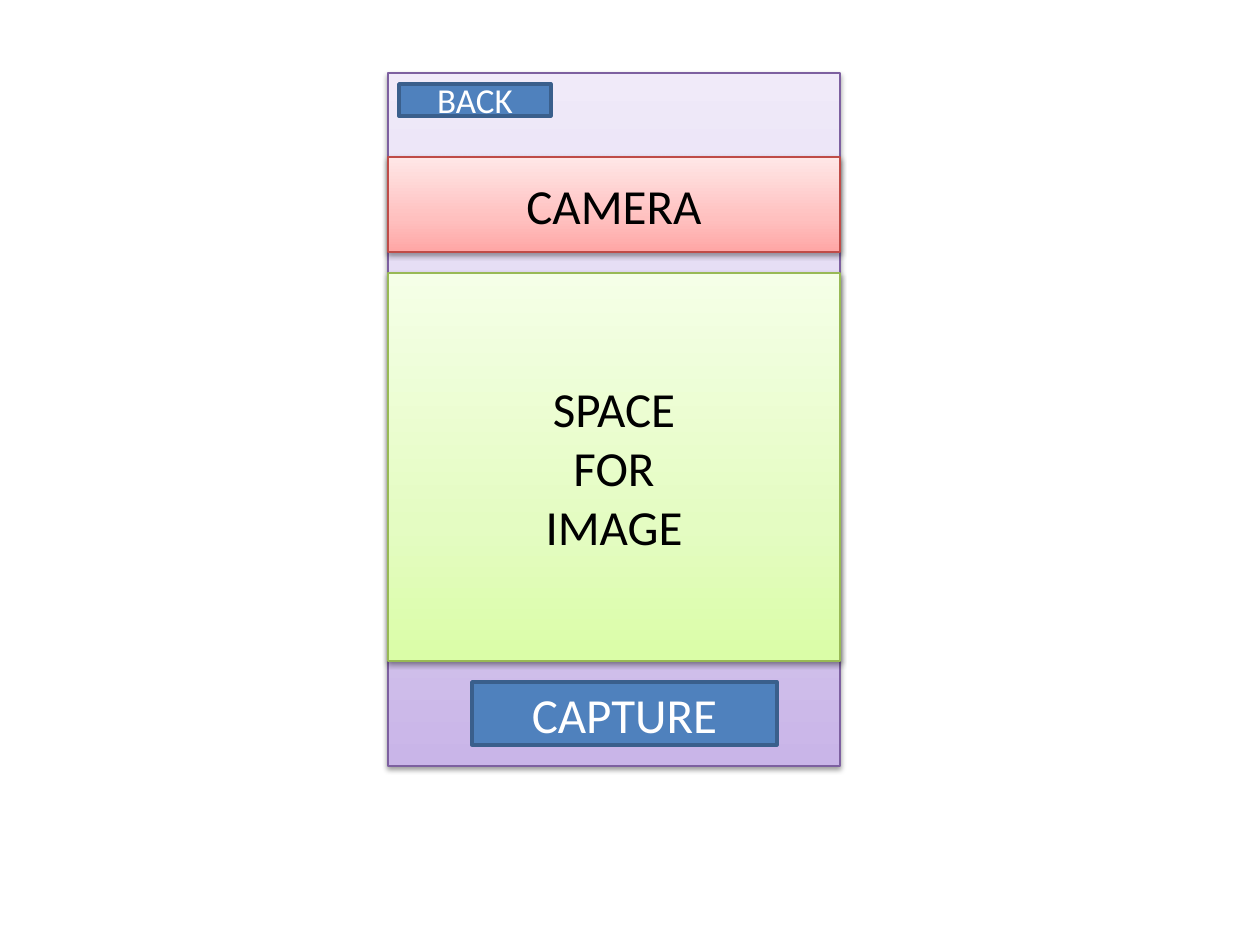
import copy
import pptx
import pptx.dml.color
import pptx.enum.shapes
import pptx.enum.text
import pptx.oxml
import pptx.oxml.ns
import pptx.util

PIXEL = 914400 / 126
qn = pptx.oxml.ns.qn


def color(hex_code):
    return pptx.dml.color.RGBColor.from_string(hex_code)


def add_box(left, top, width, height, line_color, line_width, text, size, text_color):
    box = page.shapes.add_shape(
        pptx.enum.shapes.MSO_SHAPE.RECTANGLE,
        *[round(length * PIXEL) for length in (left, top, width, height)])
    box.shadow.inherit = False
    box.line.color.rgb = color(line_color)
    box.line.width = pptx.util.Pt(line_width)
    if text:
        box.text_frame.text = text
        box.text_frame.vertical_anchor = pptx.enum.text.MSO_ANCHOR.MIDDLE
    for para in box.text_frame.paragraphs:
        para.alignment = pptx.enum.text.PP_ALIGN.CENTER
        for span in para.runs:
            span.font.name = "Calibri"
            span.font.size = pptx.util.Pt(size)
            span.font.color.rgb = color(text_color)
    return box


deck = pptx.Presentation()
deck.slide_width = round(1260 * PIXEL)
deck.slide_height = round(945 * PIXEL)
page = deck.slides.add_slide(deck.slide_layouts[6])

# Phone screen and its panels: top, height, line, gradient from the bottom up, text
screen_left, screen_width = 388, 452
panels = [
    (73, 693, "7D60A0", ("C9B5E8", "D8CBEE", "F0EAF9"), ""),
    (273, 388, "98B955", ("DAFDA7", "E4FCC2", "F5FFE7"), "SPACE\nFOR\nIMAGE"),
    (157, 95, "BF4C48", ("FFA6A5", "FFC0BF", "FFE7E7"), "CAMERA"),
]
shadow_xml = (
    '<a:outerShdw xmlns:a="http://schemas.openxmlformats.org/drawingml/2006/main"'
    ' blurRad="40000" dist="20000" dir="5400000" rotWithShape="0">'
    '<a:srgbClr val="000000"><a:alpha val="38000"/></a:srgbClr></a:outerShdw>')
for top, height, line_color, gradient, text in panels:
    panel = add_box(screen_left, top, screen_width, height, line_color, 0.75,
                    text, 28, "000000")
    panel.fill.gradient()
    panel.fill.gradient_angle = 90
    properties = panel.element.spPr
    stop_list = properties.find(qn("a:gradFill")).find(qn("a:gsLst"))
    stop_list.insert(1, copy.deepcopy(stop_list[0]))
    for stop, position, hex_code in zip(panel.fill.gradient_stops, (0, 0.35, 1), gradient):
        stop.position = position
        stop.color.rgb = color(hex_code)
    properties.find(qn("a:effectLst")).append(pptx.oxml.parse_xml(shadow_xml))

# Buttons: left, top, width, height, text, size
buttons = [
    (472, 682, 305, 63, "CAPTURE", 28),
    (399, 84, 152, 32, "BACK", 20),
]
for left, top, width, height, text, size in buttons:
    button = add_box(left, top, width, height, "3A5F8C", 2, text, size, "FFFFFF")
    button.fill.solid()
    button.fill.fore_color.rgb = color("4F81BD")

deck.save("out.pptx")
